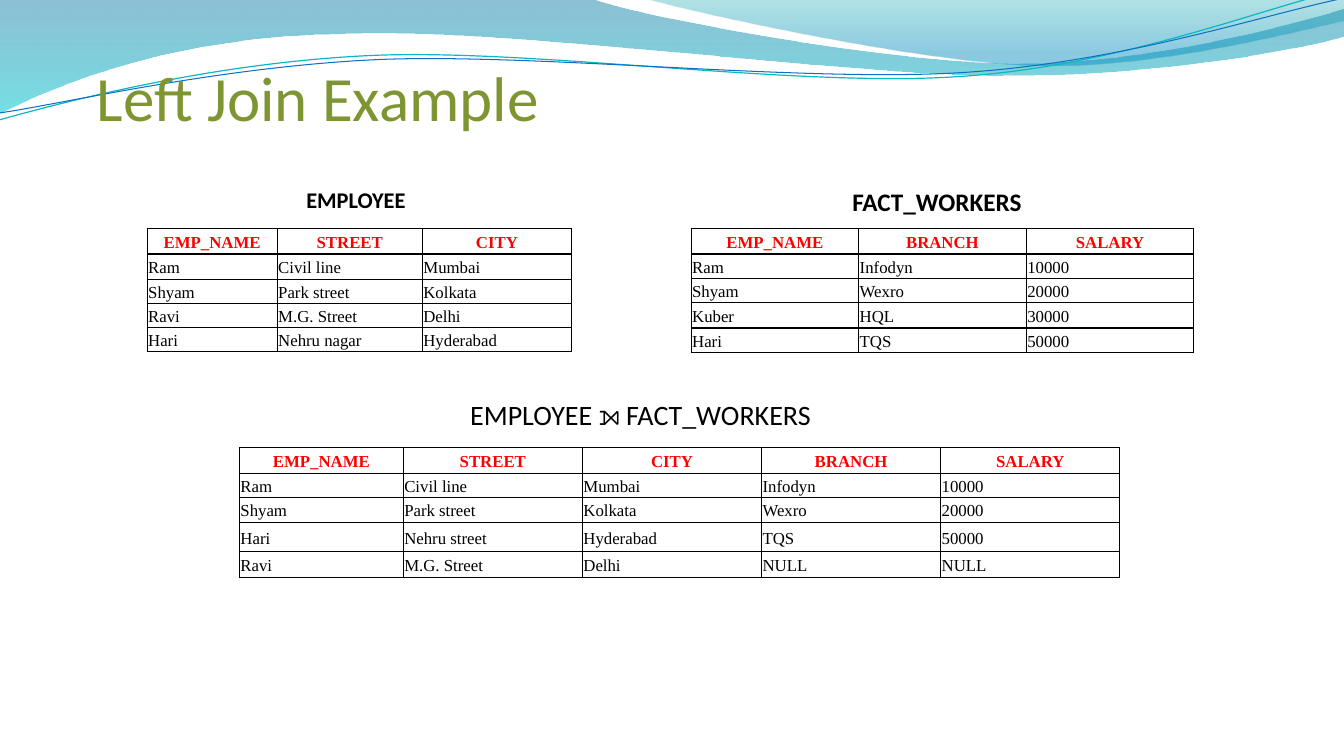
import pptx
import pptx.dml.color
import pptx.enum.text
import pptx.oxml
import pptx.oxml.ns
import pptx.util

# The slide is laid out on a grid of square cells, a tenth of an inch wide.
GRID_COLUMNS, GRID_ROWS = 133.3, 75
ANCHOR = pptx.enum.text.MSO_ANCHOR
NAMESPACE = pptx.oxml.ns.nsdecls("a")

# Each outline is a start point, then lines (x, y) and Bezier curves (three points).
WIDE_WAVE = [(0, 0), (58.7, -0.1),
             (63.4, 1.7, 88.5, 6.3, 101.1, 6.3), (113.8, 6.3, 127.8, 2.6, 133.3, 0.9),
             (133.5, 3.6),
             (131.1, 4.4, 116, 7.6, 99.4, 7.5), (82.9, 7.5, 50.9, 2.8, 34.3, 3.4),
             (17.2, 3.6, 6.1, 8.3, -0.1, 11.3)]
RIGHT_WAVE = [(63.9, -0.1),
              (67.9, 1.1, 90.9, 6.2, 102.5, 6.5), (114.1, 6.9, 128.2, 3.2, 133.3, 2.1),
              (133.3, 0)]
TEAL_LINE = [(-0.1, 11.9), (6.4, 10.1, 21.1, 6.2, 36.9, 5.5),
             (52.7, 4.8, 79, 8.7, 95, 7.6), (111, 6.6, 125.2, 0.8, 133.1, -1)]
BLUE_LINE = [(0, 11.2), (6.3, 10.3, 21.8, 6.6, 37.8, 5.9),
             (53.7, 5.3, 79.6, 8.2, 95.5, 7.2), (111.5, 6.2, 125.5, 1.4, 133.4, -0.2)]

EMPLOYEE = [
    ("EMP_NAME", "STREET", "CITY"),
    ("Ram", "Civil line", "Mumbai"),
    ("Shyam", "Park street", "Kolkata"),
    ("Ravi", "M.G. Street", "Delhi"),
    ("Hari", "Nehru nagar", "Hyderabad"),
]
FACT_WORKERS = [
    ("EMP_NAME", "BRANCH", "SALARY"),
    ("Ram", "Infodyn", "10000"),
    ("Shyam", "Wexro", "20000"),
    ("Kuber", "HQL", "30000"),
    ("Hari", "TQS", "50000"),
]
LEFT_JOIN = [
    ("EMP_NAME", "STREET", "CITY", "BRANCH", "SALARY"),
    ("Ram", "Civil line", "Mumbai", "Infodyn", "10000"),
    ("Shyam", "Park street", "Kolkata", "Wexro", "20000"),
    ("Hari", "Nehru street", "Hyderabad", "TQS", "50000"),
    ("Ravi", "M.G. Street", "Delhi", "NULL", "NULL"),
]


def grid(cells):
    return pptx.util.Inches(cells / 10)


def color(value):
    return pptx.dml.color.RGBColor.from_string(value)


def set_font(paragraph, name, size, hex_color, bold=False):
    font = paragraph.font
    font.name, font.size, font.bold = name, pptx.util.Pt(size), bold
    font.color.rgb = color(hex_color)


def add_outline(slide, outline, close):
    """Join the end points by lines, then bend the lines that have control points."""
    start, *others = [tuple(map(grid, segment[-2:])) for segment in outline]
    builder = slide.shapes.build_freeform(*start)
    builder.add_line_segments(others, close=close)
    shape = builder.convert_to_shape()
    shape.shadow.inherit = False
    lines = shape.element.spPr.findall(".//" + pptx.oxml.ns.qn("a:lnTo"))
    for line, segment in zip(lines, outline[1:]):
        if len(segment) == 6:
            points = "".join(
                f'<a:pt x="{grid(x) - shape.left}" y="{grid(y) - shape.top}"/>'
                for x, y in zip(segment[::2], segment[1::2]))
            curve = pptx.oxml.parse_xml(
                f"<a:cubicBezTo {NAMESPACE}>{points}</a:cubicBezTo>")
            line.getparent().replace(line, curve)
    return shape


def add_wave(slide, outline, stops):
    """Add a shape that fades downwards through (position, color, opacity) stops."""
    shape = add_outline(slide, outline, close=True)
    shape.line.fill.background()
    shape.fill.gradient()
    shape.fill.gradient_angle = 270
    for stop, (position, hex_color, _) in zip(shape.fill.gradient_stops, stops):
        stop.position = position
        stop.color.rgb = color(hex_color)
    stop_colors = shape.element.spPr.findall(".//" + pptx.oxml.ns.qn("a:srgbClr"))
    for stop_color, (_, _, opacity) in zip(stop_colors, stops):
        stop_color.append(pptx.oxml.parse_xml(
            f'<a:alpha {NAMESPACE} val="{opacity * 1000}"/>'))


def add_wave_line(slide, outline, hex_color, width):
    shape = add_outline(slide, outline, close=False)
    shape.fill.background()
    shape.line.color.rgb = color(hex_color)
    shape.line.width = pptx.util.Pt(width)


def add_text(slide, text, box, size, hex_color="000000", bold=False,
             anchor=ANCHOR.TOP, side_margin=1, bottom_margin=0.5, wrap=True):
    shape = slide.shapes.add_textbox(*map(grid, box))
    frame = shape.text_frame
    frame.word_wrap = wrap
    frame.vertical_anchor = anchor
    frame.margin_left = frame.margin_right = grid(side_margin)
    frame.margin_bottom = grid(bottom_margin)
    frame.text = text
    set_font(frame.paragraphs[0], "Calibri", size, hex_color, bold)


def add_borders(cell):
    properties = cell._tc.get_or_add_tcPr()
    for side in "LRTB":
        properties.append(pptx.oxml.parse_xml(
            f'<a:ln{side} {NAMESPACE} w="12700"><a:solidFill>'
            f'<a:srgbClr val="000000"/></a:solidFill></a:ln{side}>'))


def fill_cell(cell, text, is_header):
    cell.margin_left = cell.margin_right = grid(0.1)
    cell.margin_top = cell.margin_bottom = grid(0.05)
    cell.vertical_anchor = ANCHOR.MIDDLE
    add_borders(cell)
    cell.fill.background()
    cell.text = text
    paragraph = cell.text_frame.paragraphs[0]
    paragraph.line_spacing = 1.15
    if is_header:
        paragraph.alignment = pptx.enum.text.PP_ALIGN.CENTER
    set_font(paragraph, "Times New Roman", 12, "FF0000" if is_header else "000000", is_header)


def add_relation(slide, records, left, top, widths, heights):
    """Add a table with one header record."""
    frame = slide.shapes.add_table(len(records), len(widths), grid(left), grid(top),
                                   grid(sum(widths)), grid(sum(heights)))
    table = frame.table
    table.first_row = table.horz_banding = False
    for column, width in zip(table.columns, widths):
        column.width = grid(width)
    for row, height, record in zip(table.rows, heights, records):
        row.height = grid(height)
        for cell, text in zip(row.cells, record):
            fill_cell(cell, text, record is records[0])


def main():
    presentation = pptx.Presentation()
    presentation.slide_width = grid(GRID_COLUMNS)
    presentation.slide_height = grid(GRID_ROWS)
    slide = presentation.slides.add_slide(presentation.slide_layouts[6])

    add_wave(slide, WIDE_WAVE, [(0, "0074A1", 45), (1, "00C6CF", 55)])
    add_wave(slide, RIGHT_WAVE, [(0, "00A1A9", 30), (0.8, "008BBF", 45)])
    add_wave_line(slide, TEAL_LINE, "0AB8BF", 0.85)
    add_wave_line(slide, BLUE_LINE, "0F6FC6", 0.75)

    add_text(slide, "Left Join Example", (9.6, 7.2, 77, 6.1), 45, "7E9632",
             anchor=ANCHOR.BOTTOM, side_margin=0, bottom_margin=0)
    add_relation(slide, EMPLOYEE, 14.6, 22.7, (12.9, 14.4, 14.8), (2.5, 2.5, 2.4, 2.3, 2.3))
    add_relation(slide, FACT_WORKERS, 68.55, 22.7, [16.62] * 3, (2.5, 2.4, 2.45, 2.5, 2.35))
    add_relation(slide, LEFT_JOIN, 23.75, 44.4, [16.25] + [17.77] * 4,
                 (2.55, 2.4, 2.45, 2.95, 2.55))

    add_text(slide, "EMPLOYEE", (29.4, 17.9, 18.1, 3.7), 16, bold=True, anchor=ANCHOR.MIDDLE)
    add_text(slide, "EMPLOYEE ⟕ FACT_WORKERS", (45.65, 38.95, 39, 4.4), 20)
    add_text(slide, "FACT_WORKERS", (83.55, 17.95, 19, 4), 18, bold=True, wrap=False)

    presentation.save("out.pptx")


if __name__ == "__main__":
    main()
